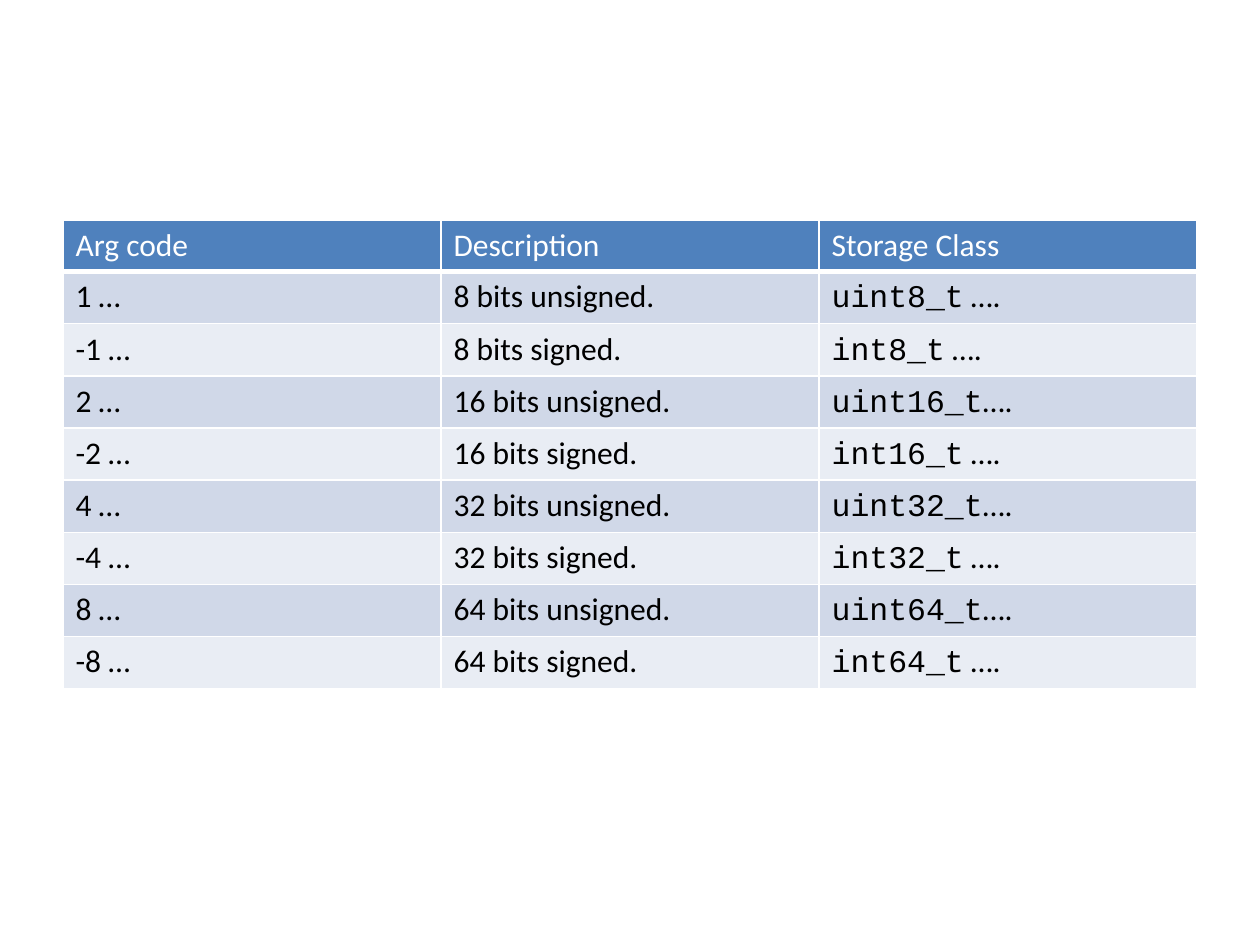
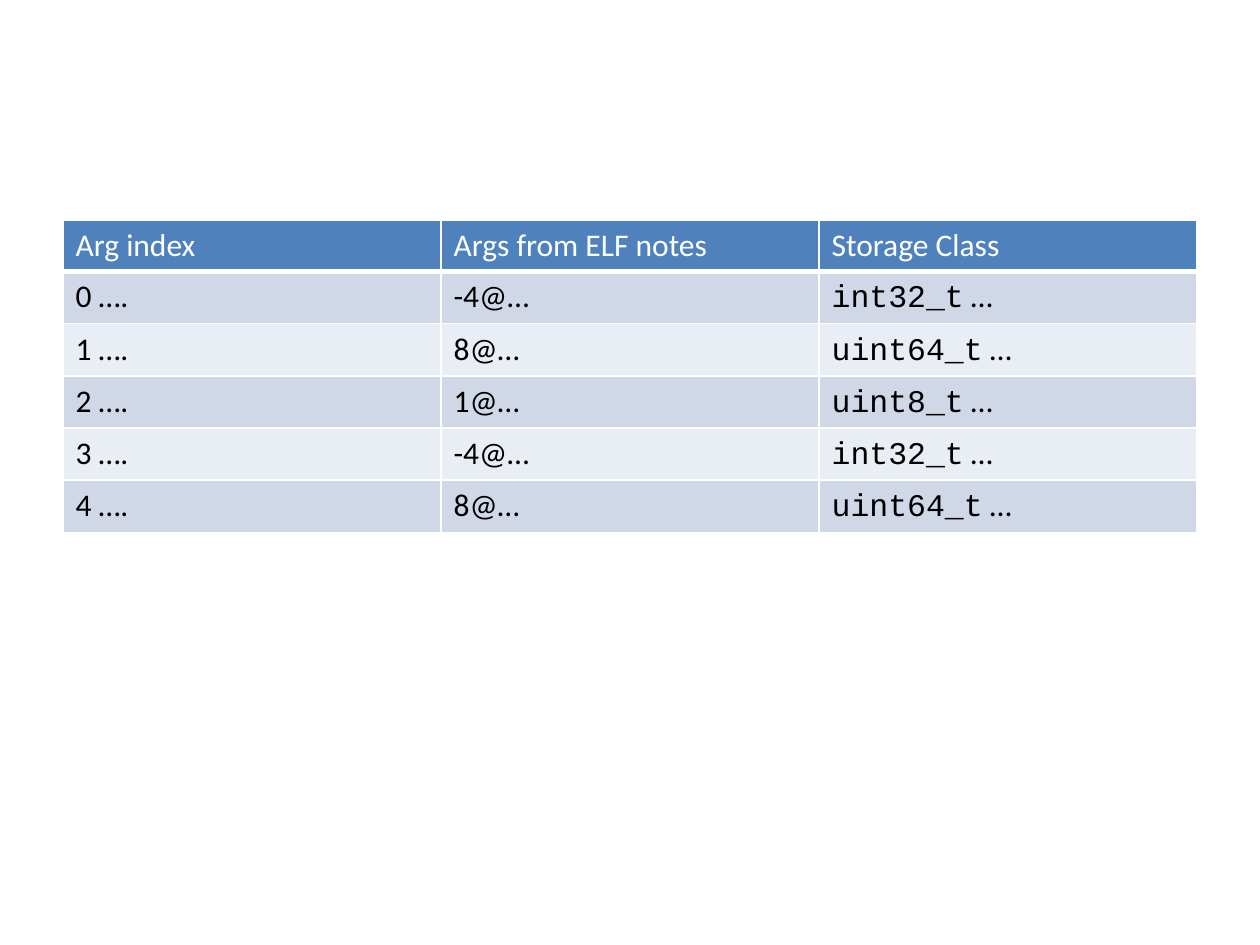
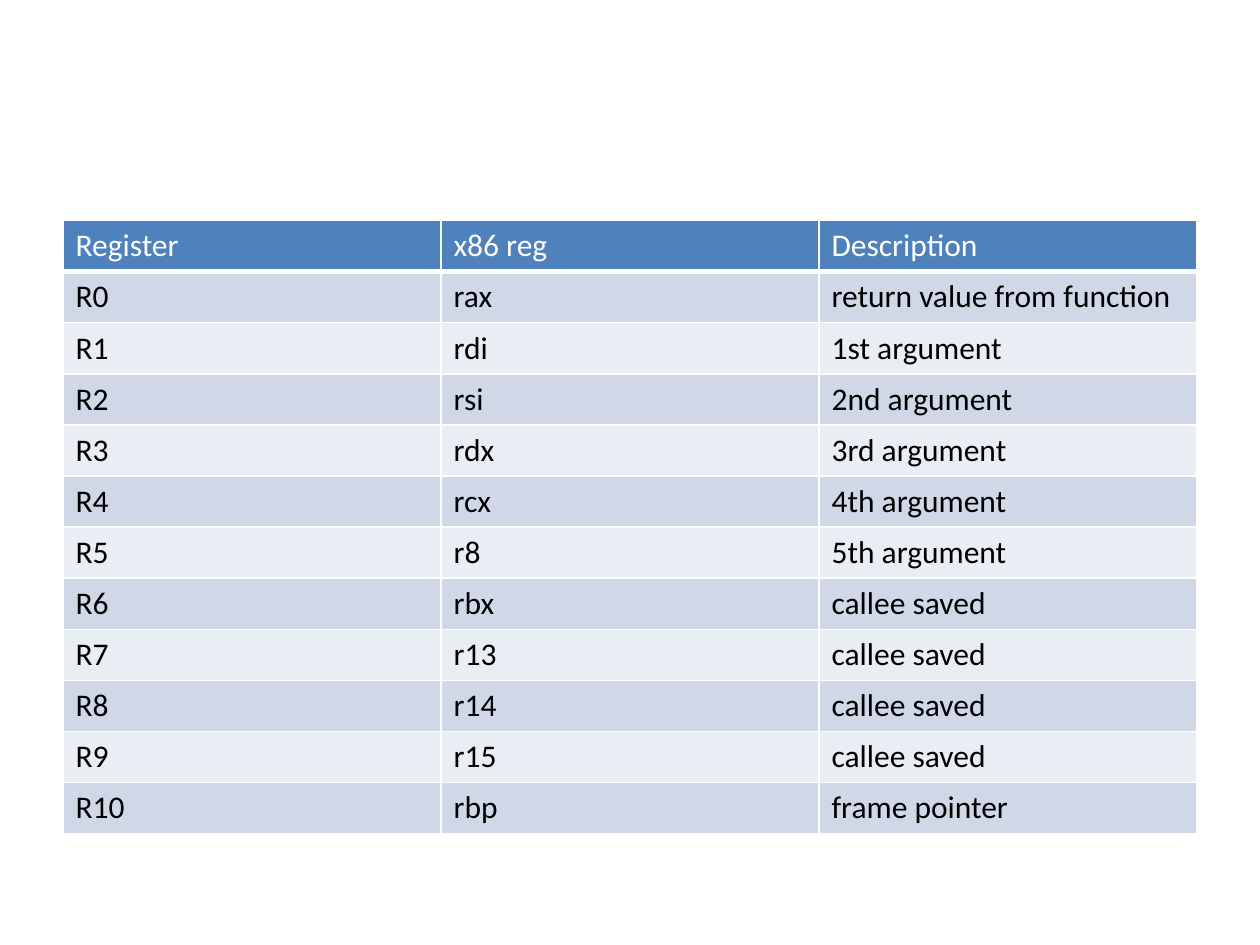
"""Build three reference-table slides on argument codes, argument lists and registers."""
import lxml.etree
import pptx
import pptx.dml.color
import pptx.oxml.ns
import pptx.util

Pt = pptx.util.Pt
COLORS = {"header": "4F81BD", "odd": "D0D8E8", "even": "E9EDF4", "white": "FFFFFF", "black": "000000"}
TEXT_FONT, CODE_FONT = "Calibri", "Courier New"
TEXT_ROW, CODE_ROW = 29.17, 29.75
LEFT, TOP, COLUMN_WIDTH, TABLE_HEIGHT = 36, 126, 216, 355.68

argument_codes = [
    ("Arg code", "Description", "Storage Class"),
    ("1 …", "8 bits unsigned.", "uint8_t …."),
    ("-1 …", "8 bits signed.", "int8_t …."),
    ("2 …", "16 bits unsigned.", "uint16_t…."),
    ("-2 …", "16 bits signed.", "int16_t …."),
    ("4 …", "32 bits unsigned.", "uint32_t…."),
    ("-4 …", "32 bits signed.", "int32_t …."),
    ("8 …", "64 bits unsigned.", "uint64_t…."),
    ("-8 …", "64 bits signed.", "int64_t …."),
]
note_arguments = [
    ("Arg index", "Args from ELF notes", "Storage Class"),
    ("0 ….", "-4@…", "int32_t …"),
    ("1 ….", "8@…", "uint64_t …"),
    ("2 ….", "1@…", "uint8_t …"),
    ("3 ….", "-4@…", "int32_t …"),
    ("4 ….", "8@…", "uint64_t …"),
]
registers = [
    ("Register", "x86 reg", "Description"),
    ("R0", "rax", "return value from function"),
    ("R1", "rdi", "1st argument"),
    ("R2", "rsi", "2nd argument"),
    ("R3", "rdx", "3rd argument"),
    ("R4", "rcx", "4th argument"),
    ("R5", "r8", "5th argument"),
    ("R6", "rbx", "callee saved"),
    ("R7", "r13", "callee saved"),
    ("R8", "r14", "callee saved"),
    ("R9", "r15", "callee saved"),
    ("R10", "rbp", "frame pointer"),
]


def style_cell(cell, fill, bottom_width):
    """Give a cell white borders and a solid fill."""
    properties = cell._tc.get_or_add_tcPr()
    for side, width in (("lnL", 1), ("lnR", 1), ("lnT", 1), ("lnB", bottom_width)):
        border = lxml.etree.SubElement(properties, pptx.oxml.ns.qn(f"a:{side}"), w=str(Pt(width)))
        paint = lxml.etree.SubElement(border, pptx.oxml.ns.qn("a:solidFill"))
        lxml.etree.SubElement(paint, pptx.oxml.ns.qn("a:srgbClr"), val=COLORS["white"])
    cell.fill.solid()
    cell.fill.fore_color.rgb = pptx.dml.color.RGBColor.from_string(COLORS[fill])


def add_run(paragraph, text, font_name, color):
    """Add one run of 18 pt text."""
    run = paragraph.add_run()
    run.text = text
    run.font.name = font_name
    run.font.size = Pt(18)
    run.font.bold = False
    run.font.color.rgb = pptx.dml.color.RGBColor.from_string(COLORS[color])


deck = pptx.Presentation()
deck.slide_width, deck.slide_height = Pt(720), Pt(540)

for records, body_height in ((argument_codes, CODE_ROW), (note_arguments, CODE_ROW), (registers, TEXT_ROW)):
    slide = deck.slides.add_slide(deck.slide_layouts[6])
    columns = len(records[0])
    frame = slide.shapes.add_table(
        len(records), columns, Pt(LEFT), Pt(TOP), Pt(columns * COLUMN_WIDTH), Pt(TABLE_HEIGHT))
    for row, record in enumerate(records):
        is_header = row == 0
        frame.table.rows[row].height = Pt(TEXT_ROW if is_header else body_height)
        fill = "header" if is_header else "odd" if row % 2 else "even"
        color = "white" if is_header else "black"
        for column, text in enumerate(record):
            cell = frame.table.cell(row, column)
            style_cell(cell, fill, 3 if is_header else 1)
            paragraph = cell.text_frame.paragraphs[0]
            type_name, suffix, dots = text.partition("_t")
            if suffix:
                add_run(paragraph, type_name + suffix, CODE_FONT, color)
                add_run(paragraph, dots, TEXT_FONT, color)
            else:
                add_run(paragraph, text, TEXT_FONT, color)
    frame.height = Pt(TABLE_HEIGHT)

deck.save("out.pptx")
